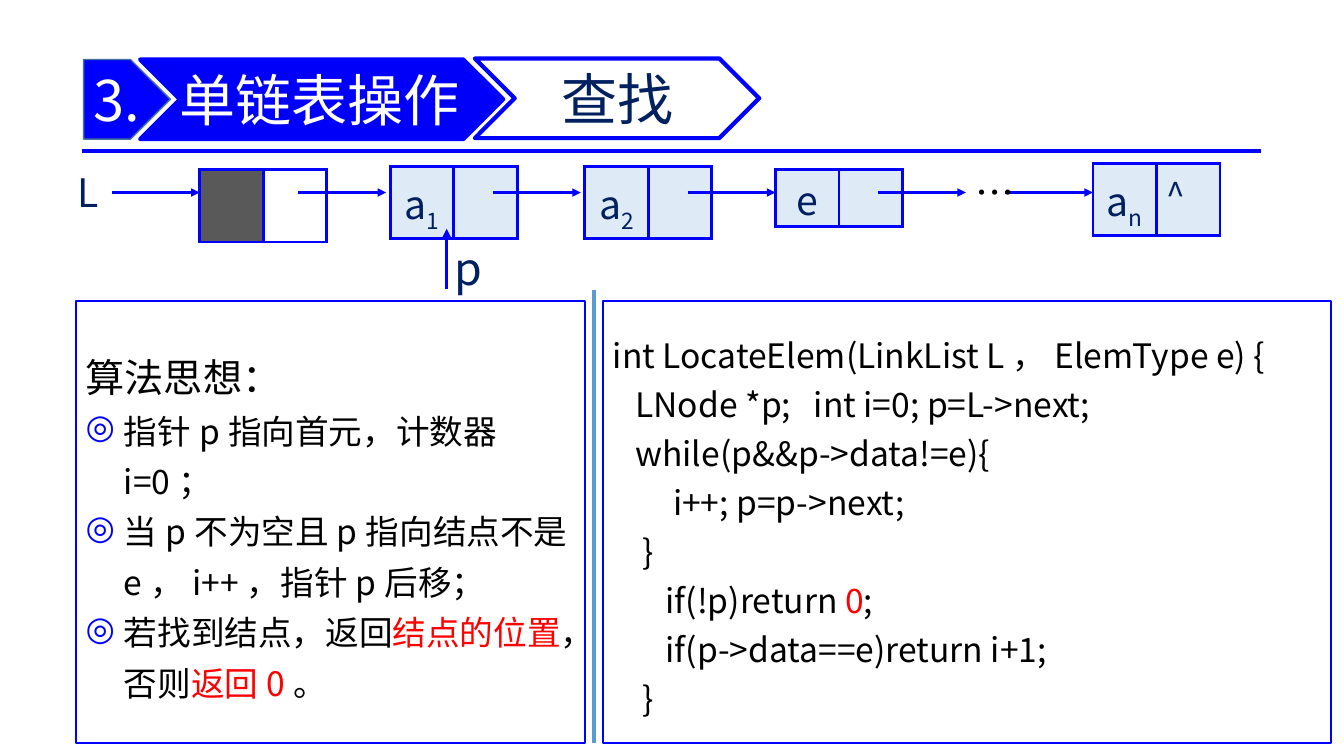
from lxml.etree import SubElement
from pptx import Presentation
from pptx.dml.color import RGBColor
from pptx.enum.shapes import MSO_CONNECTOR, MSO_SHAPE
from pptx.enum.text import MSO_ANCHOR, PP_ALIGN
from pptx.oxml.ns import qn
from pptx.util import Inches, Pt

FONT = "Noto Sans CJK SC"
COLORS = {
    "blue": "0000FF", "title": "0000FA", "edge": "43739E", "divider": "5B9BD5",
    "navy": "002060", "pale": "DEEBF7", "grey": "595959",
    "white": "FFFFFF", "black": "000000", "red": "FF0000",
}

IDEA_HEADING = "算法思想："
IDEA_STEPS = [
    [("指针p指向首元，计数器i=0；", "black")],
    [("当p不为空且p指向结点不是e，i++，指针p后移；", "black")],
    [("若找到结点，返回", "black"), ("结点的位置", "red"), ("，否则", "black"),
     ("返回0", "red"), ("。", "black")],
]
CODE_LINES = [
    [("int LocateElem(LinkList L，ElemType e) {", "black")],
    [("   LNode *p;   int i=0; p=L->next;", "black")],
    [("   while(p&&p->data!=e){", "black")],
    [("        i++; p=p->next;", "black")],
    [("    }", "black")],
    [("       if(!p)return ", "black"), ("0", "red"), (";", "black")],
    [("       if(p->data==e)return i+1;", "black")],
    [("    }", "black")],
]
NODES = [
    {"left": 1.98, "top": 1.68, "height": 0.72, "fills": ("grey", "white")},
    {"left": 3.87, "top": 1.65, "height": 0.72, "letter": "a", "index": "1"},
    {"left": 5.8, "top": 1.65, "height": 0.72, "letter": "a", "index": "2"},
    {"left": 7.69, "top": 1.68, "height": 0.57, "letter": "e", "margin": 0},
    {"left": 10.84, "top": 1.62, "height": 0.72, "letter": "a", "index": "n", "pointer": "^"},
]
LABELS = [
    ("L", (0.67, 1.62, 0.36, 0.57), 28, "navy", True),
    ("p", (4.41, 2.34, 0.49, 0.64), 32, "navy", False),
    ("…", (9.58, 1.62, 0.67, 0.57), 28, "black", True),
]
NODE_WIDTH = 1.26
ARROW_LENGTH = 0.87
ARROW_Y = 1.91
ARROW_STARTS = [1.11, 2.96, 4.89, 6.82, 8.71, 9.97]
PANEL_TOP, PANEL_HEIGHT = 2.99, 4.38

presentation = Presentation()
presentation.slide_width = Inches(13.33)
presentation.slide_height = Inches(7.5)
slide = presentation.slides.add_slide(presentation.slide_layouts[6])


def color(name):
    return RGBColor.from_string(COLORS[name])


def apply(target, values):
    for name, value in values.items():
        setattr(target, name, value)


def add_run(paragraph, text, size, tint):
    run = paragraph.add_run()
    run.text = text
    apply(run.font, {"size": Pt(size), "name": FONT})
    run.font.color.rgb = color(tint)
    SubElement(run.font._element, qn("a:ea"), typeface=FONT)
    return run


def add_shape(kind, box, fill, line, width):
    shape = slide.shapes.add_shape(kind, *map(Inches, box))
    shape.shadow.inherit = False
    shape.fill.solid()
    shape.fill.fore_color.rgb = color(fill)
    shape.line.color.rgb = color(line)
    shape.line.width = Pt(width)
    apply(shape.text_frame, {"word_wrap": True, "vertical_anchor": MSO_ANCHOR.MIDDLE})
    return shape


def add_line(start, end, tint="blue", width=2, arrow=False):
    connector = slide.shapes.add_connector(MSO_CONNECTOR.STRAIGHT, *map(Inches, start + end))
    connector.line.color.rgb = color(tint)
    connector.line.width = Pt(width)
    if arrow:
        SubElement(connector.line._get_or_add_ln(), qn("a:tailEnd"), type="triangle")
    SubElement(connector._element.spPr, qn("a:effectLst"))


def add_panel(left, width):
    shape = add_shape(MSO_SHAPE.RECTANGLE, (left, PANEL_TOP, width, PANEL_HEIGHT),
                      "white", "blue", 1.5)
    return shape.text_frame


def add_paragraph(frame, first, runs, size, spacing):
    paragraph = frame.paragraphs[0] if first else frame.add_paragraph()
    apply(paragraph, {"alignment": PP_ALIGN.LEFT, "line_spacing": spacing})
    for text, tint in runs:
        add_run(paragraph, text, size, tint)
    return paragraph


def add_bullet(paragraph):
    properties = paragraph._p.get_or_add_pPr()
    properties.set("marL", str(Inches(0.38)))
    properties.set("indent", str(-Inches(0.38)))
    bullet_color = SubElement(properties, qn("a:buClr"))
    SubElement(bullet_color, qn("a:srgbClr"), val=COLORS["blue"])
    SubElement(properties, qn("a:buChar"), char="◎")


def style_cell(cell, fill, margin):
    properties = cell._tc.get_or_add_tcPr()
    for side in ("lnL", "lnR", "lnT", "lnB"):
        border = SubElement(properties, qn(f"a:{side}"), w=str(Pt(2.25)))
        solid = SubElement(border, qn("a:solidFill"))
        SubElement(solid, qn("a:srgbClr"), val=COLORS["blue"])
    cell.fill.solid()
    cell.fill.fore_color.rgb = color(fill)
    apply(cell, {"margin_top": Inches(margin), "margin_bottom": 0})


def add_node(node):
    box = (node["left"], node["top"], NODE_WIDTH, node["height"])
    table = slide.shapes.add_table(1, 2, *map(Inches, box)).table
    apply(table, {"first_row": False, "horz_banding": False})
    for column, fill in enumerate(node.get("fills", ("pale", "pale"))):
        style_cell(table.cell(0, column), fill, node.get("margin", 0.05))
    if "letter" in node:
        cell = table.cell(0, 0)
        cell.vertical_anchor = MSO_ANCHOR.MIDDLE
        paragraph = cell.text_frame.paragraphs[0]
        paragraph.alignment = PP_ALIGN.CENTER
        add_run(paragraph, node["letter"], 28, "navy")
        if "index" in node:
            index = add_run(paragraph, node["index"], 28, "navy")
            index.font._element.set("baseline", "-25000")
    if "pointer" in node:
        add_run(table.cell(0, 1).text_frame.paragraphs[0], node["pointer"], 24, "navy")


def add_label(text, box, size, tint, wrap=True):
    frame = slide.shapes.add_textbox(*map(Inches, box)).text_frame
    frame.word_wrap = wrap
    add_run(frame.paragraphs[0], text, size, tint)
    return frame


add_line((0.81, 1.5), (12.51, 1.5), width=3)

idea = add_panel(0.75, 5.05)
add_paragraph(idea, True, [(IDEA_HEADING, "black")], 28, 1.25)
for step in IDEA_STEPS:
    add_bullet(add_paragraph(idea, False, step, 24, 1.25))

code = add_panel(5.98, 7.22)
for row, runs in enumerate(CODE_LINES):
    add_paragraph(code, row == 0, runs, 24, Pt(35))
add_line((5.89, 2.88), (5.89, 7.37), "divider", 3)

for node in NODES:
    add_node(node)
for start in ARROW_STARTS:
    add_line((start, ARROW_Y), (start + ARROW_LENGTH, ARROW_Y), arrow=True)
add_line((4.43, 2.87), (4.43, 2.27), arrow=True)
for label in LABELS:
    add_label(*label)

number = add_shape(MSO_SHAPE.PENTAGON, (0.83, 0.59, 0.86, 0.79), "blue", "edge", 1)
number.text_frame.margin_right = 0
add_paragraph(number.text_frame, True, [("3.", "white")], 40, 1.0)

add_shape(MSO_SHAPE.CHEVRON, (1.39, 0.59, 3.6, 0.79), "title", "blue", 3)
title = add_label("单链表操作", (1.74, 0.44, 3.48, 1.08), 40, "white")
apply(title, {"vertical_anchor": MSO_ANCHOR.MIDDLE, "margin_left": Inches(0.04),
              "margin_right": 0, "margin_top": Inches(0.02), "margin_bottom": Inches(0.02)})

topic = add_shape(MSO_SHAPE.CHEVRON, (4.71, 0.58, 2.82, 0.79), "white", "blue", 3)
add_paragraph(topic.text_frame, True, [("查找", "navy")], 40, 1.0).alignment = PP_ALIGN.CENTER

presentation.save("out.pptx")
